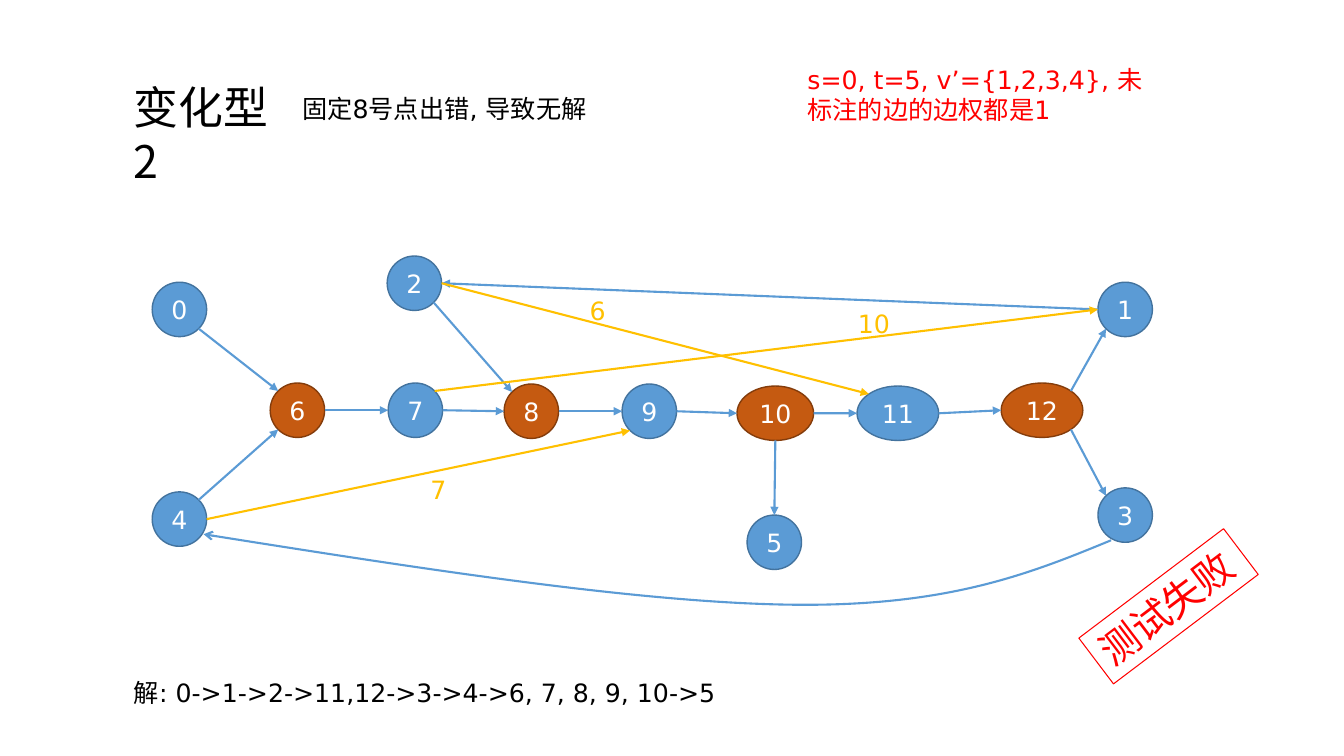
"""Build the slide of a directed graph whose fixed node 8 leaves no solution."""
from math import cos, pi, sin

from lxml.etree import SubElement
from pptx import Presentation
from pptx.dml.color import RGBColor
from pptx.enum.dml import MSO_LINE
from pptx.enum.shapes import MSO_CONNECTOR, MSO_SHAPE
from pptx.enum.text import MSO_ANCHOR, PP_ALIGN
from pptx.oxml.ns import qn
from pptx.util import Inches, Pt

LATIN, CJK = "DejaVu Sans", "Noto Sans CJK SC"
BLUE, ORANGE, YELLOW, RED = "5B9BD5", "C55A11", "FFC000", "FF0000"
BLUE_RIM, ORANGE_RIM = "43739E", "843C0B"
WHITE, BLACK = "FFFFFF", "000000"
TOP, TOP_LEFT, LEFT, BOTTOM_LEFT, BOTTOM, BOTTOM_RIGHT, RIGHT, TOP_RIGHT = range(8)


def write(shape, text, size, color, font=LATIN):
    """Put one run of text into a shape."""
    frame = shape.text_frame
    frame.word_wrap = True
    run = frame.paragraphs[0].add_run()
    run.text = text
    run.font.size = Pt(size)
    run.font.name = font
    run.font.color.rgb = RGBColor.from_string(color)
    SubElement(run.font._element, qn("a:ea"), typeface=font)
    return frame


def draw_arrow(shape, color, head):
    """Style a line and give its far end an arrowhead."""
    shape.line.color.rgb = RGBColor.from_string(color)
    shape.line.width = Pt(1.5)
    outline = shape._element.spPr.find(qn("a:ln"))
    SubElement(outline, qn("a:tailEnd"), type=head)


prs = Presentation()
prs.slide_width, prs.slide_height = Inches(13.33), Inches(7.5)
slide = prs.slides.add_slide(prs.slide_layouts[6])
shapes = slide.shapes

title = shapes.add_textbox(Inches(1.23), Inches(0.71), Inches(1.85), Inches(0.64))
title_frame = write(title, "变化型2", 32, BLACK, CJK)
title_frame.paragraphs[0].line_spacing = Pt(38)
title_frame.margin_top = Inches(0.09)
title_frame.margin_right = Inches(0.2)

captions = [
    ("s=0, t=5, v’={1,2,3,4}, 未标注的边的边权都是1", 7.91, 0.59, 3.61, 0.71, RED),
    ("固定8号点出错, 导致无解", 2.9, 0.88, 3.27, 0.4, BLACK),
    ("解: 0->1->2->11,12->3->4->6, 7, 8, 9, 10->5", 1.23, 6.67, 8.79, 0.4, BLACK),
    ("6", 5.75, 2.88, 0.67, 0.4, YELLOW),
    ("7", 4.17, 4.66, 0.67, 0.4, YELLOW),
    ("10", 8.41, 3.01, 0.67, 0.4, YELLOW),
]
for text, left, top, width, height, color in captions:
    caption = shapes.add_textbox(Inches(left), Inches(top), Inches(width), Inches(height))
    write(caption, text, 18, color)

node_height = 0.54
node_places = {
    0: (1.51, 2.8, 0.54), 1: (10.89, 2.8, 0.54), 2: (3.84, 2.54, 0.54),
    3: (10.89, 4.84, 0.54), 4: (1.51, 4.88, 0.54), 5: (7.41, 5.11, 0.54),
    6: (2.68, 3.8, 0.54), 7: (3.85, 3.8, 0.54), 8: (5, 3.81, 0.54),
    9: (6.17, 3.81, 0.54), 10: (7.31, 3.83, 0.76), 11: (8.5, 3.83, 0.81),
    12: (9.93, 3.8, 0.81),
}
fixed_nodes = {6, 8, 10, 12}
nodes = {}
for number, (left, top, width) in node_places.items():
    node = shapes.add_shape(MSO_SHAPE.OVAL, Inches(left), Inches(top), Inches(width), Inches(node_height))
    fill, rim = (ORANGE, ORANGE_RIM) if number in fixed_nodes else (BLUE, BLUE_RIM)
    node.shadow.inherit = False
    node.fill.solid()
    node.fill.fore_color.rgb = RGBColor.from_string(fill)
    node.line.color.rgb = RGBColor.from_string(rim)
    node.line.width = Pt(1)
    label = write(node, str(number), 18, WHITE)
    label.margin_left = label.margin_right = 0
    label.vertical_anchor = MSO_ANCHOR.MIDDLE
    label.paragraphs[0].alignment = PP_ALIGN.CENTER
    nodes[number] = node

edges = [
    (0, BOTTOM_RIGHT, 6, TOP_LEFT, BLUE),
    (4, TOP_RIGHT, 6, BOTTOM_LEFT, BLUE),
    *[(number, RIGHT, number + 1, LEFT, BLUE) for number in range(6, 12)],
    (12, TOP_RIGHT, 1, BOTTOM_LEFT, BLUE),
    (12, BOTTOM_RIGHT, 3, TOP_LEFT, BLUE),
    (2, BOTTOM_RIGHT, 8, TOP_LEFT, BLUE),
    (10, BOTTOM, 5, TOP, BLUE),
    (1, LEFT, 2, RIGHT, BLUE),
    (4, RIGHT, 9, BOTTOM_LEFT, YELLOW),
    (2, RIGHT, 11, TOP_LEFT, YELLOW),
    (7, TOP_RIGHT, 1, LEFT, YELLOW),
]
for source, source_site, target, target_site, color in edges:
    ends = []
    for number, site in ((source, source_site), (target, target_site)):
        left, top, width = node_places[number]
        angle = pi / 2 + site * pi / 4
        ends += [Inches(left + width / 2 * (1 + cos(angle))),
                 Inches(top + node_height / 2 * (1 - sin(angle)))]
    edge = shapes.add_connector(MSO_CONNECTOR.STRAIGHT, *ends)
    draw_arrow(edge, color, "triangle")
    SubElement(edge._element.spPr, qn("a:effectLst"))
    links = edge._element.find(qn("p:nvCxnSpPr")).find(qn("p:cNvCxnSpPr"))
    for tag, number, site in (("a:stCxn", source, source_site), ("a:endCxn", target, target_site)):
        SubElement(links, qn(tag), id=str(nodes[number].shape_id), idx=str(site))

curve_start = (11.02, 5.36)
curve_points = [(10.22, 5.69), (9.42, 6.01), (7.92, 6), (6.42, 5.99), (4.22, 5.65), (2.02, 5.3)]
builder = shapes.build_freeform(*map(Inches, curve_start))
builder.add_line_segments([(Inches(x), Inches(y)) for x, y in curve_points], close=False)
return_edge = builder.convert_to_shape()
return_edge.shadow.inherit = False
return_edge.fill.background()
draw_arrow(return_edge, BLUE, "arrow")
outline_path = next(return_edge._element.iter(qn("a:path")))
segments = outline_path.findall(qn("a:lnTo"))
for first in range(0, len(segments), 3):
    bezier = SubElement(outline_path, qn("a:cubicBezTo"))
    for segment in segments[first:first + 3]:
        bezier.append(segment[0])
        outline_path.remove(segment)

stamp = shapes.add_shape(MSO_SHAPE.RECTANGLE, Inches(10.69), Inches(5.73), Inches(1.8), Inches(0.57))
stamp.rotation = 322.9
stamp.shadow.inherit = False
stamp.fill.background()
stamp.line.color.rgb = RGBColor.from_string(RED)
stamp.line.width = Pt(0.75)
stamp.line.dash_style = MSO_LINE.SOLID
stamp_frame = write(stamp, "测试失败", 28, RED)
stamp_frame.vertical_anchor = MSO_ANCHOR.TOP
stamp_frame.paragraphs[0].alignment = PP_ALIGN.LEFT

prs.save("out.pptx")
